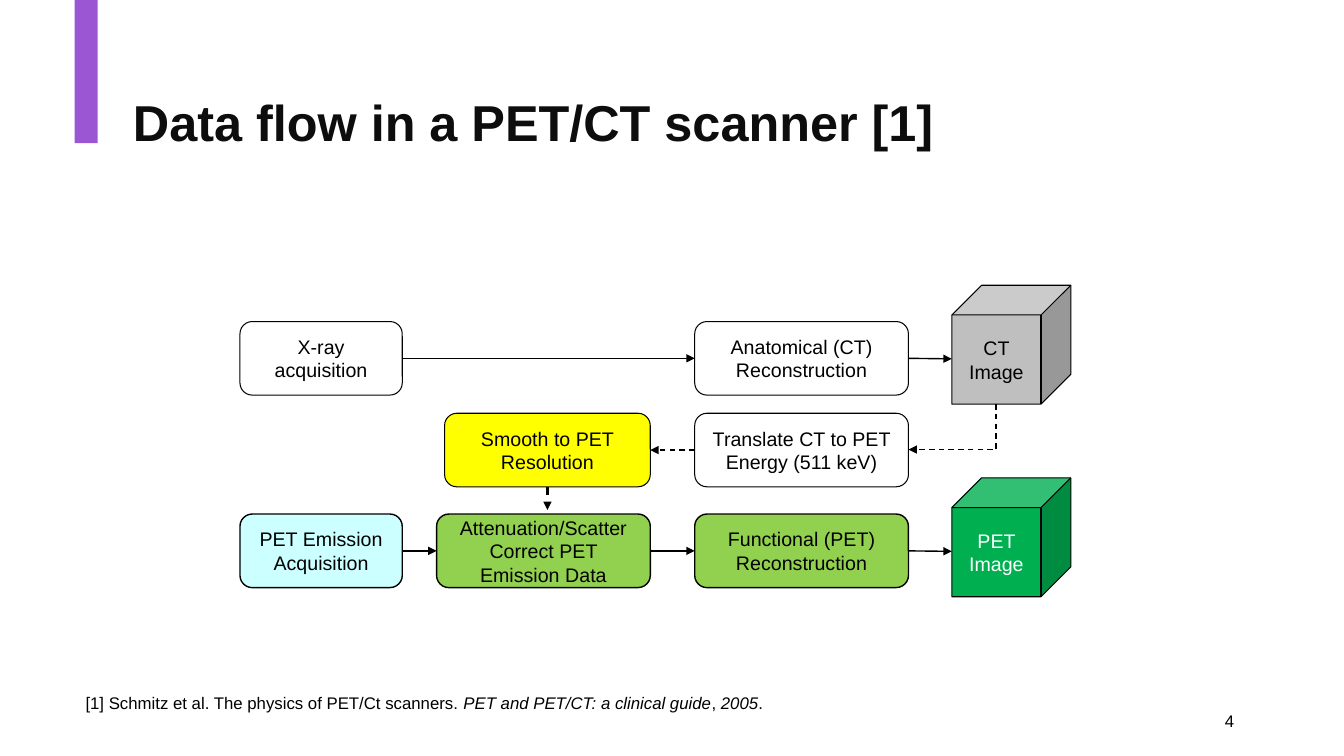
from lxml import etree
from pptx import Presentation
from pptx import util as u
from pptx.dml.color import RGBColor
from pptx.enum import dml, shapes, text
from pptx.oxml.ns import qn

PX = 9144  # EMU per px, 100 px to the inch
FONT = "Arial"
COLORS = {
    "accent": "9B57D3", "title": "0D0D0D", "black": "000000", "white": "FFFFFF",
    "yellow": "FFFF00", "cyan": "CCFFFF", "lime": "92D050",
    "gray": "BFBFBF", "green": "00B050",
}
TOP, LEFT, BOTTOM, RIGHT = range(4)
BOX_HEIGHT, CUBE_SIZE = 73, 118


def px(*lengths):
    return [u.Emu(length * PX) for length in lengths]


def color(name):
    return RGBColor.from_string(COLORS[name])


def write(paragraph, words, size, color_name, **formats):
    run = paragraph.add_run()
    run.text = words
    run.font.color.rgb = color(color_name)
    for name, value in {"name": FONT, "size": u.Pt(size), **formats}.items():
        setattr(run.font, name, value)


def add_text(slide, box, anchor=text.MSO_ANCHOR.MIDDLE):
    """Add an empty wrapping text box and return its first paragraph."""
    frame = slide.shapes.add_textbox(*px(*box)).text_frame
    frame.word_wrap = True
    frame.vertical_anchor = anchor
    return frame.paragraphs[0]


def add_block(slide, preset, box, fill, line_width=0.75, words="", ink="black"):
    """Add a filled shape; a line_width of 0 leaves out the outline."""
    shape = slide.shapes.add_shape(preset, *px(*box))
    shape.shadow.inherit = False
    shape.fill.solid()
    shape.fill.fore_color.rgb = color(fill)
    if line_width:
        shape.line.color.rgb = color("black")
        shape.line.width = u.Pt(line_width)
    else:
        shape.line.fill.background()
    if words:
        frame = shape.text_frame
        frame.word_wrap = True
        frame.vertical_anchor = text.MSO_ANCHOR.MIDDLE
        frame.paragraphs[0].alignment = text.PP_ALIGN.CENTER
        write(frame.paragraphs[0], words, 14, ink)
    return shape


def style_arrow(connector, width=1, dashed=False):
    connector.line.color.rgb = color("black")
    connector.line.width = u.Pt(width)
    if dashed:
        connector.line.dash_style = dml.MSO_LINE.DASH
    properties = connector.element.spPr
    line = properties.find(qn("a:ln"))
    etree.SubElement(line, qn("a:tailEnd"), type="triangle")
    etree.SubElement(properties, qn("a:effectLst"))


def add_arrow(slide, source, source_side, target, target_side=None, **style):
    """Join source to a target box side, or to a target point when no side is given."""
    end = (0, 0) if target_side is not None else px(*target)
    connector = slide.shapes.add_connector(shapes.MSO_CONNECTOR.STRAIGHT, 0, 0, *end)
    connector.begin_connect(source, source_side)
    if target_side is not None:
        connector.end_connect(target, target_side)
    style_arrow(connector, **style)


def add_down_left_arrow(slide, start, end):
    """Add a dashed arrow that runs down from start, then left to end."""
    across, down = start[0] - end[0], end[1] - start[1]
    left = (start[0] + end[0] - down) / 2
    top = (start[1] + end[1] - across) / 2
    connector = slide.shapes.add_connector(
        shapes.MSO_CONNECTOR.ELBOW, *map(round, px(left, top, left + down, top + across)))
    properties = connector.element.spPr
    properties.find(qn("a:xfrm")).set("rot", str(90 * 60000))
    properties.find(qn("a:prstGeom")).set("prst", "bentConnector2")
    style_arrow(connector, dashed=True)


def add_header(slide, left, top):
    add_block(slide, shapes.MSO_SHAPE.RECTANGLE, (left, top, 23, 142), "accent", 0)
    title = add_text(slide, (left + 48, top + 60, 1112, 129))
    title.line_spacing = 0.9
    write(title, "Data flow in a PET/CT scanner [1]", 36, "title", bold=True)


def add_flow(slide, left, top):
    """Draw the CT row, the correction row and the PET row of the diagram."""
    ct_row, correction_row, pet_row = top + 36, top + 127, top + 227
    correct_x, rebuild_x, cube_x = left + 195, left + 451, left + 706
    box_specs = {
        "x-ray": (left, ct_row, 161, "white", 0.75, "X-ray acquisition"),
        "anatomical": (rebuild_x, ct_row, 212, "white", 0.75,
                       "Anatomical (CT) Reconstruction"),
        "translate": (rebuild_x, correction_row, 212, "white", 0.75,
                      "Translate CT to PET Energy (511 keV)"),
        "smooth": (correct_x + 8, correction_row, 204, "yellow", 0.75,
                   "Smooth to PET Resolution"),
        "emission": (left, pet_row, 161, "cyan", 1, "PET Emission Acquisition"),
        "attenuation": (correct_x, pet_row, 212, "lime", 1,
                        "Attenuation/Scatter Correct PET Emission Data"),
        "functional": (rebuild_x, pet_row, 212, "lime", 1,
                       "Functional (PET) Reconstruction"),
    }
    boxes = {
        name: add_block(slide, shapes.MSO_SHAPE.ROUNDED_RECTANGLE,
                        (x, y, width, BOX_HEIGHT), fill, line_width, words)
        for name, (x, y, width, fill, line_width, words) in box_specs.items()
    }
    for source, row, fill, words, ink in (
            ("anatomical", ct_row, "gray", "CT Image", "black"),
            ("functional", pet_row, "green", "PET Image", "white")):
        add_block(slide, shapes.MSO_SHAPE.CUBE,
                  (cube_x, row - 36, CUBE_SIZE, CUBE_SIZE), fill, words=words, ink=ink)
        add_arrow(slide, boxes[source], RIGHT, (cube_x, row + 37))

    for source, target in (("x-ray", "anatomical"), ("emission", "attenuation"),
                           ("attenuation", "functional")):
        add_arrow(slide, boxes[source], RIGHT, boxes[target], LEFT)
    add_arrow(slide, boxes["translate"], LEFT, boxes["smooth"], RIGHT, dashed=True)
    add_arrow(slide, boxes["smooth"], BOTTOM, (correct_x + 110, pet_row - 4),
              width=1.5, dashed=True)
    add_down_left_arrow(slide, (cube_x + 44, top + CUBE_SIZE),
                        (rebuild_x + 212, correction_row + 36))


def add_footer(slide, left, top):
    citation = add_text(slide, (left, top, 734, 30), text.MSO_ANCHOR.TOP)
    for words, italic in (
            ("[1] Schmitz et al. The physics of PET/Ct scanners. ", False),
            ("PET and PET/CT: a clinical guide", True), (", ", False),
            ("2005", True), (".", False)):
        write(citation, words, 12, "black", italic=italic)
    number = add_text(slide, (left + 859, top + 13, 300, 40))
    number.alignment = text.PP_ALIGN.RIGHT
    write(number, "4", 12, "black")


def main():
    presentation = Presentation()
    presentation.slide_width, presentation.slide_height = px(1333, 750)
    slide = presentation.slides.add_slide(presentation.slide_layouts[6])
    add_header(slide, 74, 0)
    add_flow(slide, 238, 283)
    add_footer(slide, 75, 682)
    presentation.save("out.pptx")


if __name__ == "__main__":
    main()
